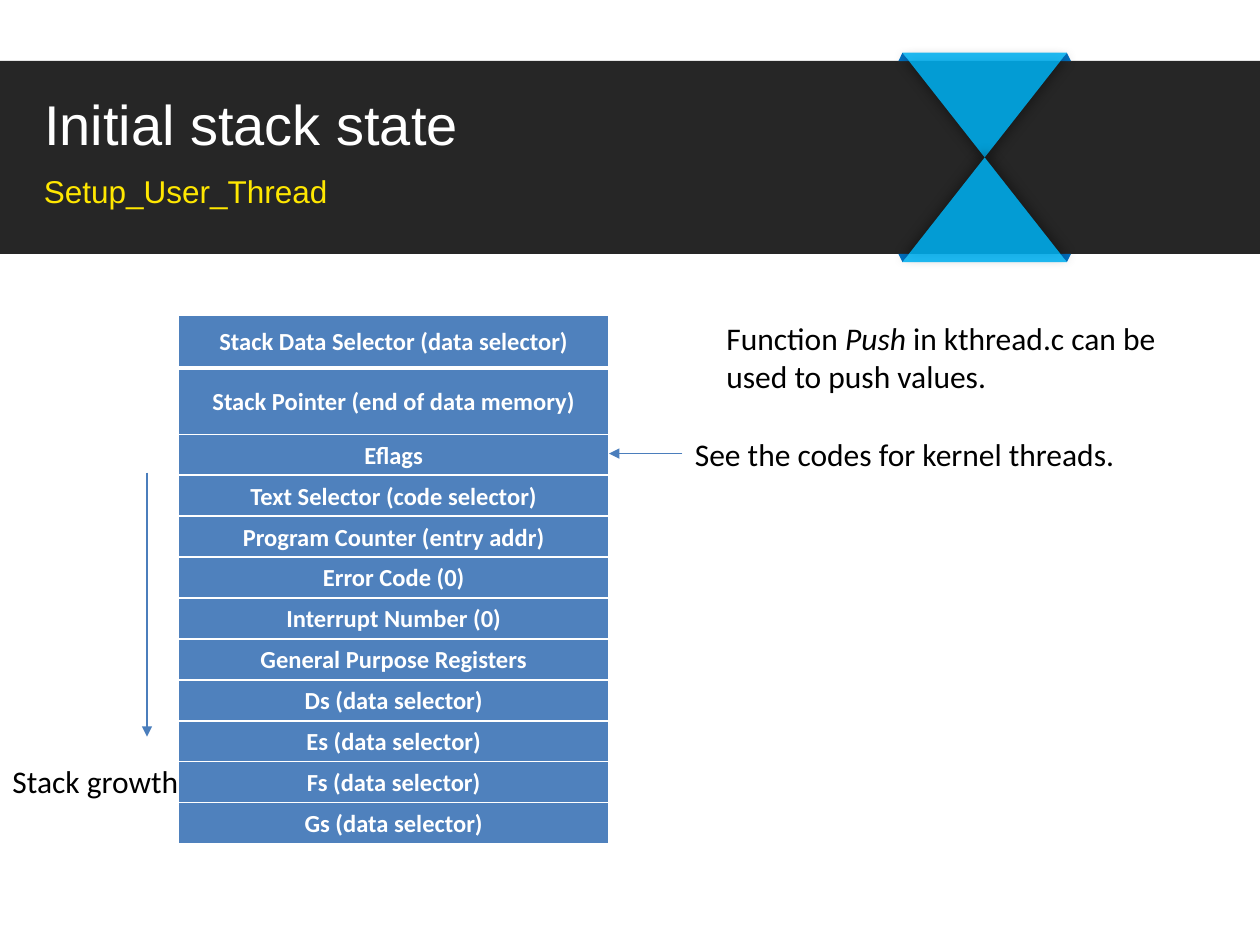
from lxml import etree
from pptx import Presentation
from pptx.dml.color import RGBColor
from pptx.enum.shapes import MSO_CONNECTOR as CONN, MSO_SHAPE as SHAPE
from pptx.enum.text import MSO_ANCHOR as ANCHOR, MSO_AUTO_SIZE as AUTO, PP_ALIGN as ALIGN
from pptx.oxml.ns import qn
from pptx.util import Pt

CENTER_X, CENTER_Y = 562.7, 90
ROWS = [
    "Stack Data Selector (data selector)",
    "Stack Pointer (end of data memory)",
    "Eflags",
    "Text Selector (code selector)",
    "Program Counter (entry addr)",
    "Error Code (0)",
    "Interrupt Number (0)",
    "General Purpose Registers",
    "Ds (data selector)",
    "Es (data selector)",
    "Fs (data selector)",
    "Gs (data selector)",
]


def rgb(value):
    return RGBColor.from_string(value)


def child(parent, tag, **attrs):
    return etree.SubElement(parent, qn(tag), {k: str(v) for k, v in attrs.items()})


def paint(sp, color):
    sp.shadow.inherit = False
    sp.fill.solid()
    sp.fill.fore_color.rgb = rgb(color)
    sp.line.fill.background()


def style_run(r, size, color, font="Calibri", bold=False, italic=False):
    r.font.name, r.font.size = font, Pt(size)
    r.font.color.rgb = rgb(color)
    r.font.bold, r.font.italic = bold, italic


def add_band(slide):
    sp = slide.shapes.add_shape(SHAPE.RECTANGLE, 0, Pt(34.8), Pt(720), Pt(110.3))
    paint(sp, "262626")


def add_corner(slide, side_x, side_y):
    points = [(Pt(CENTER_X + side_x * dx), Pt(CENTER_Y + side_y * dy))
              for dx, dy in [(47, 59.8), (49.3, 55.1), (43, 55.1)]]
    builder = slide.shapes.build_freeform(*points[0])
    builder.add_line_segments(points[1:], close=True)
    paint(builder.convert_to_shape(), "0070C0")


def add_triangle(slide, top, angle, flipped):
    sp = slide.shapes.add_shape(SHAPE.ISOSCELES_TRIANGLE, Pt(CENTER_X - 47), Pt(top),
                                Pt(94), Pt(59.8))
    paint(sp, "00B0F0")
    sp_pr = sp._element.spPr
    child(sp_pr.find(qn("a:solidFill"))[0], "a:alpha", val=87000)
    if flipped:
        sp_pr.find(qn("a:xfrm")).set("flipV", "1")
    shadow = child(sp_pr.find(qn("a:effectLst")), "a:outerShdw", blurRad=Pt(7),
                   dist=Pt(3), dir=angle * 60000, algn="ctr", rotWithShape=0)
    child(child(shadow, "a:srgbClr", val="000000"), "a:alpha", val=40000)


def add_title(slide, text):
    sp = slide.shapes.title
    slide.shapes._spTree.append(sp._element)
    sp.left, sp.top, sp.width, sp.height = Pt(18), Pt(45), Pt(426), Pt(50.4)
    tf = sp.text_frame
    tf.text = text
    tf.auto_size = AUTO.NONE
    tf.vertical_anchor = ANCHOR.MIDDLE
    p = tf.paragraphs[0]
    p.alignment = ALIGN.LEFT
    style_run(p.runs[0], 32, "FFFFFF", "Arial")


def add_text(slide, box, parts, color="000000", font="Calibri", wrap=True):
    sp = slide.shapes.add_textbox(*[Pt(v) for v in box])
    tf = sp.text_frame
    tf.word_wrap = wrap
    for text, italic in parts:
        r = tf.paragraphs[0].add_run()
        r.text = text
        style_run(r, 18, color, font, italic=italic)


def set_border(cell, side, width):
    line = child(cell._tc.get_or_add_tcPr(), f"a:{side}", w=Pt(width))
    child(child(line, "a:solidFill"), "a:srgbClr", val="FFFFFF")


def fill_cell(cell, text, top_width, bottom_width):
    cell.margin_left = cell.margin_right = cell.margin_top = cell.margin_bottom = 0
    cell.vertical_anchor = ANCHOR.MIDDLE
    for side, width in [("lnL", 1), ("lnR", 1), ("lnT", top_width), ("lnB", bottom_width)]:
        set_border(cell, side, width)
    cell.fill.solid()
    cell.fill.fore_color.rgb = rgb("4F81BD")
    cell.text_frame.text = text
    p = cell.text_frame.paragraphs[0]
    p.alignment, p.line_spacing, p.space_after = ALIGN.CENTER, 1.07, Pt(8)
    style_run(p.runs[0], 14, "FFFFFF", bold=True)


def add_stack_table(slide):
    heights = [30.2, 38] + [23.4] * (len(ROWS) - 2)
    table = slide.shapes.add_table(len(ROWS), 1, Pt(102), Pt(180), Pt(246),
                                   Pt(sum(heights))).table
    table.columns[0].width = Pt(246)
    for i, (text, height) in enumerate(zip(ROWS, heights)):
        table.rows[i].height = Pt(height)
        fill_cell(table.cell(i, 0), text, 3 if i == 1 else 1, 3 if i == 0 else 1)


def add_arrow(slide, x1, y1, x2, y2):
    arrow = slide.shapes.add_connector(CONN.STRAIGHT, Pt(x1), Pt(y1), Pt(x2), Pt(y2))
    arrow.line.color.rgb = rgb("4B7EBC")
    arrow.line.width = Pt(0.75)
    child(arrow.line._get_or_add_ln(), "a:tailEnd", type="triangle")
    child(arrow._element.spPr, "a:effectLst")


def main():
    prs = Presentation()
    prs.slide_width, prs.slide_height = Pt(720), Pt(540)
    slide = prs.slides.add_slide(prs.slide_layouts[5])
    add_band(slide)
    for side_x in (-1, 1):
        for side_y in (-1, 1):
            add_corner(slide, side_x, side_y)
    add_triangle(slide, CENTER_Y - 59.8, 90, True)
    add_triangle(slide, CENTER_Y, 270, False)
    add_title(slide, "Initial stack state")
    add_text(slide, (18, 95, 282, 30), [("Setup_User_Thread", False)], "FFE701", "Arial")
    add_stack_table(slide)
    add_arrow(slide, 84, 270, 84, 421)
    add_text(slide, (0, 432, 110, 29), [("Stack growth", False)], wrap=False)
    add_text(slide, (408, 178.8, 270, 51), [
        ("Function ", False), ("Push", True),
        (" in kthread.c can be used to push values.", False)])
    add_text(slide, (390, 244.8, 270, 29), [("See the codes for kernel threads.", False)])
    add_arrow(slide, 390, 259.2, 348, 259.2)
    prs.save("out.pptx")


main()
